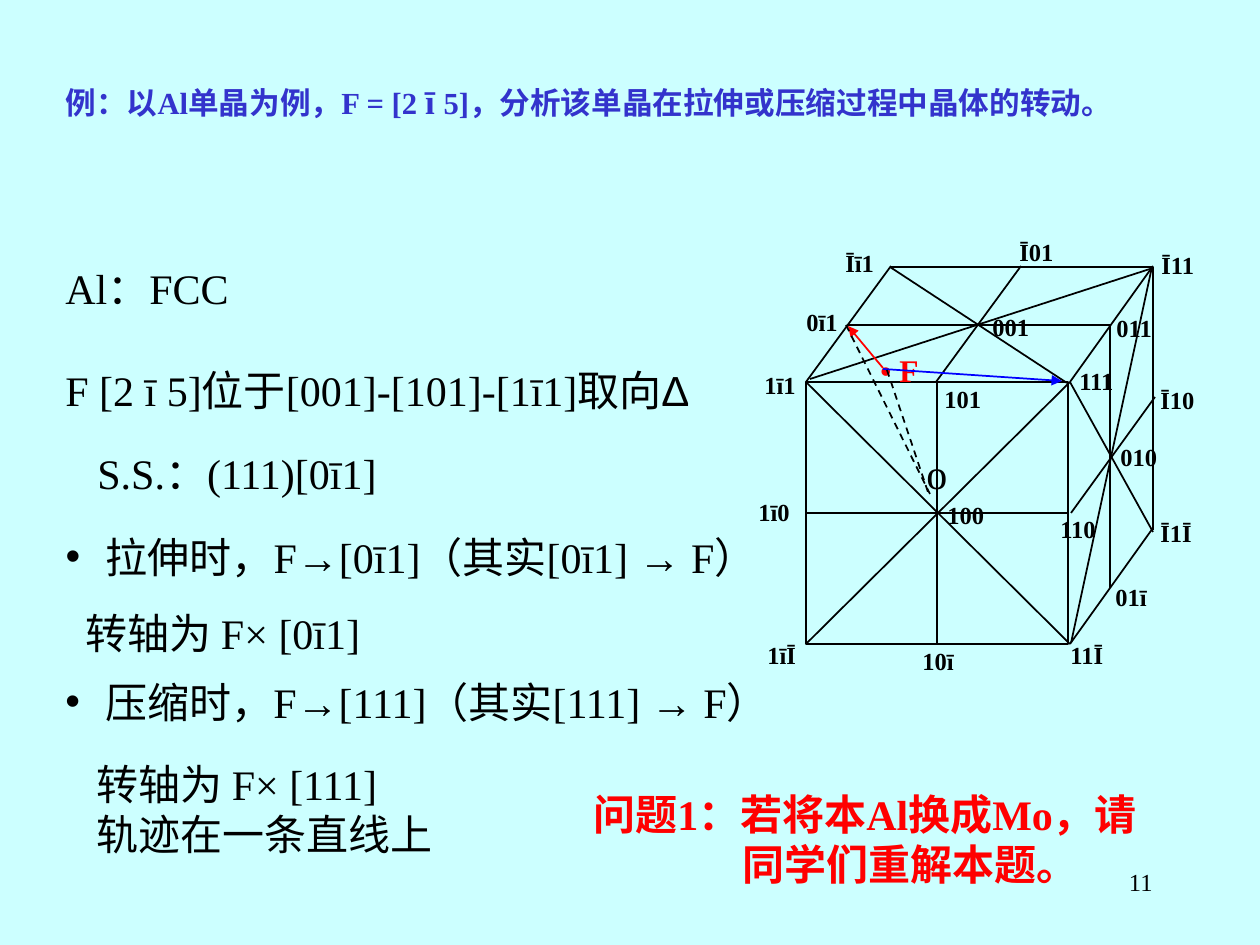
from itertools import groupby

from lxml.etree import SubElement
from pptx import Presentation
from pptx.dml.color import RGBColor
from pptx.enum.dml import MSO_LINE_DASH_STYLE as Dash
from pptx.enum.shapes import MSO_CONNECTOR, MSO_SHAPE
from pptx.enum.text import MSO_ANCHOR, MSO_AUTO_SIZE, PP_ALIGN
from pptx.oxml.ns import qn
from pptx.util import Emu, Inches, Pt

BACKGROUND = RGBColor(0xCC, 0xFF, 0xFF)
BLACK = RGBColor(0, 0, 0)
INDIGO = RGBColor(0x33, 0x33, 0xCC)
RED = RGBColor(0xFF, 0, 0)
BLUE = RGBColor(0, 0, 0xFF)
SYMBOLS = "→Δ"

CUBE_LINES = [
    (890, 267, 1152, 267), (1153, 267, 1153, 530), (1110, 325, 1110, 588),
    (847, 325, 1110, 325), (806, 644, 1070, 382), (1070, 382, 1153, 266),
    (806, 382, 1070, 644), (1070, 644, 1153, 528), (936, 382, 1021, 266),
    (806, 382, 891, 266), (1071, 513, 1155, 397), (810, 379, 1153, 268),
    (890, 267, 1067, 383), (1152, 267, 1071, 643), (1070, 382, 1153, 532),
]
DIRECTION_LABELS = [
    ("001", 980, 306), ("100", 935, 494), ("010", 1108, 436),
    ("111", 1067, 360), ("Ī11", 1149, 244), ("1ī1", 752, 364),
    ("Īī1", 833, 242), ("11Ī", 1058, 634), ("1īĪ", 755, 634),
    ("Ī1Ī", 1148, 512), ("110", 1048, 508), ("Ī10", 1148, 379),
    ("1ī0", 746, 491), ("101", 932, 378), ("Ī01", 1007, 231),
    ("10ī", 910, 640), ("011", 1104, 307), ("01ī", 1103, 576),
    ("0ī1", 794, 301),
]


def px(length):
    return Emu(round(length * 914400 / 126))


def add_runs(paragraph, text, size=24, color=BLACK, bold=False):
    """Add text in Times New Roman, with the symbols in Arial runs."""
    for is_symbol, characters in groupby(text, lambda character: character in SYMBOLS):
        run = paragraph.add_run()
        run.text = "".join(characters)
        font = run.font
        font.name = "Arial" if is_symbol else "Times New Roman"
        font.size = Pt(size)
        font.bold = bold
        font.color.rgb = color


def set_indent(paragraph, margin, first=0, bullet=False):
    properties = paragraph._p.get_or_add_pPr()
    properties.set("marL", str(px(margin)))
    properties.set("indent", str(px(first)))
    if bullet:
        SubElement(properties, qn("a:buFont"), typeface="Arial")
        SubElement(properties, qn("a:buChar"), char="•")
    else:
        SubElement(properties, qn("a:buNone"))


def place_placeholder(shape, left, top, width, height):
    shape.left, shape.top, shape.width, shape.height = map(px, (left, top, width, height))
    frame = shape.text_frame
    frame.auto_size = MSO_AUTO_SIZE.NONE
    frame.vertical_anchor = MSO_ANCHOR.TOP
    return frame


def add_text_box(shapes, left, top, width, height, text, **style):
    """Add a wrapping box with one paragraph and return its frame."""
    frame = shapes.add_textbox(*map(px, (left, top, width, height))).text_frame
    frame.word_wrap = True
    add_runs(frame.paragraphs[0], text, **style)
    return frame


def add_line(shapes, ends, color=BLACK, dashed=False, arrow=False):
    line = shapes.add_connector(MSO_CONNECTOR.STRAIGHT, *map(px, ends))
    line.line.color.rgb = color
    line.line.width = Pt(1)
    if dashed:
        line.line.dash_style = Dash.DASH
    if arrow:
        SubElement(line.line._get_or_add_ln(), qn("a:tailEnd"), type="triangle")
    SubElement(line._element.spPr, qn("a:effectLst"))
    return line


def add_cube(slide):
    shapes = slide.shapes.add_group_shape().shapes
    face = shapes.add_shape(MSO_SHAPE.RECTANGLE, px(806), px(382), px(262), px(262))
    face.shadow.inherit = False
    face.fill.background()
    face.line.color.rgb = BLACK
    face.line.width = Pt(1)
    for ends, start, end in [((806, 513, 1068, 513), 1, 3), ((937, 382, 937, 644), 0, 2)]:
        midline = add_line(shapes, ends)
        midline.begin_connect(face, start)
        midline.end_connect(face, end)
    for ends in CUBE_LINES:
        add_line(shapes, ends)
    for text, left, top in DIRECTION_LABELS:
        add_text_box(shapes, left, top, 73, 43, text, size=14, bold=True)


def add_rotation_paths(slide):
    shapes = slide.shapes
    add_text_box(shapes, 868, 345, 73, 50, "• F", size=18, color=RED, bold=True)
    add_line(shapes, (883, 368, 848, 326), RED, arrow=True)
    add_line(shapes, (883, 369, 1062, 381), BLUE, arrow=True)
    origin = shapes.add_group_shape().shapes
    add_line(origin, (846, 325, 930, 494), dashed=True)
    add_text_box(origin, 914, 441, 73, 63, "o")
    add_line(origin, (887, 370, 929, 495), dashed=True)


def add_title(slide):
    frame = place_placeholder(slide.shapes.title, 53, 73, 1113, 95)
    paragraph = frame.paragraphs[0]
    paragraph.alignment = PP_ALIGN.LEFT
    for text, size in [("例：以Al单晶为例，F = [2 ", 17.5), ("ī ", 20),
                       ("5]，分析该单晶在拉伸或压缩过程中晶体的转动。", 17.5)]:
        add_runs(paragraph, text, size, INDIGO, True)


def add_analysis(slide):
    shapes = slide.shapes
    crystal = add_text_box(shapes, 53, 231, 696, 190, "Al：FCC")
    add_runs(crystal.add_paragraph(), "F [2 ī 5]位于[001]-[101]-[1ī1]取向Δ")
    for paragraph in crystal.paragraphs:
        paragraph.line_spacing = 1.5
    crystal.paragraphs[1].space_before = Pt(15)

    slip_system = add_text_box(shapes, 53, 441, 368, 63, "S.S.：(111)[0ī1]")
    set_indent(slip_system.paragraphs[0], 32)

    tension = place_placeholder(slide.placeholders[1], 53, 525, 770, 140)
    stretch, axis = tension.paragraphs[0], tension.add_paragraph()
    add_runs(stretch, "拉伸时，F→[0ī1]（其实[0ī1] → F）")
    add_runs(axis, "转轴为 F× [0ī1]")
    set_indent(stretch, 40, -40, bullet=True)
    set_indent(axis, 20)
    stretch.space_before = Pt(0)
    axis.space_before = Pt(15)

    compression = add_text_box(shapes, 53, 670, 782, 63, "压缩时，F→[111]（其实[111] → F）")
    set_indent(compression.paragraphs[0], 40, -40, bullet=True)

    track = add_text_box(shapes, 84, 752, 630, 113, "转轴为 F× [111]")
    add_runs(track.add_paragraph(), "轨迹在一条直线上")


def add_question(slide):
    frame = add_text_box(slide.shapes, 581, 782, 590, 113,
                         "问题1：若将本Al换成Mo，请同学们重解本题。", color=RED, bold=True)
    set_indent(frame.paragraphs[0], 149, -149)


def add_page_number(slide):
    frame = add_text_box(slide.shapes, 903, 861, 262, 63, "11", size=14)
    frame.paragraphs[0].alignment = PP_ALIGN.RIGHT


def main():
    presentation = Presentation()
    presentation.slide_width, presentation.slide_height = Inches(10), Inches(7.5)
    slide = presentation.slides.add_slide(presentation.slide_layouts[1])
    slide.background.fill.solid()
    slide.background.fill.fore_color.rgb = BACKGROUND
    add_page_number(slide)
    add_title(slide)
    add_analysis(slide)
    add_cube(slide)
    add_rotation_paths(slide)
    add_question(slide)
    presentation.save("out.pptx")


if __name__ == "__main__":
    main()
